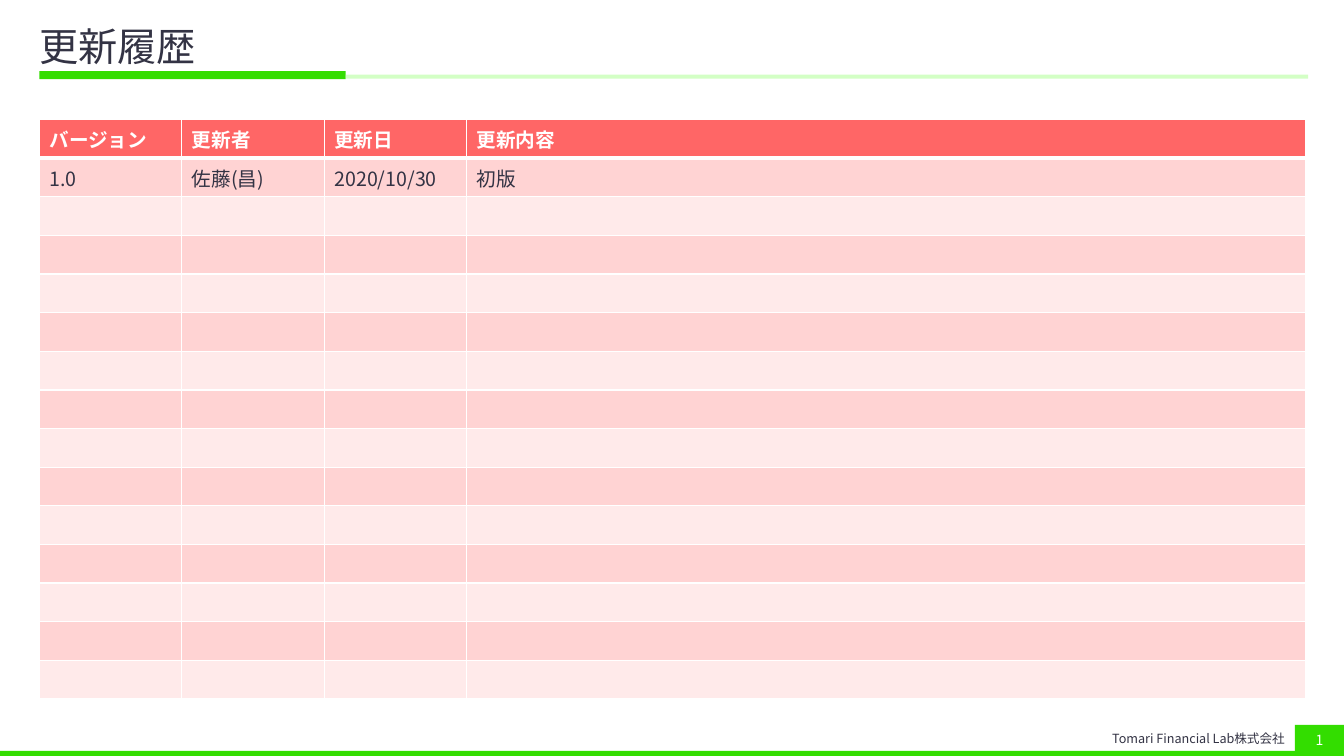
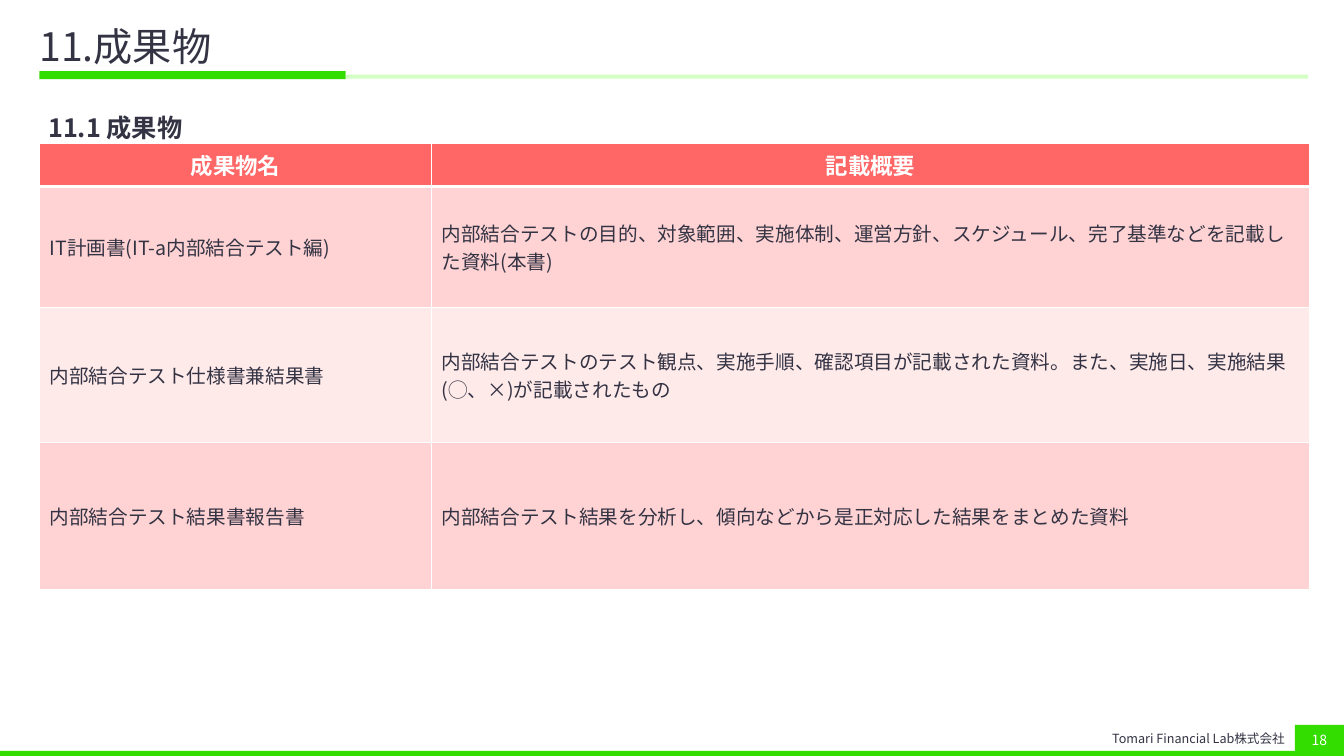
"""Build the revision history and deliverables slides of a test plan."""
import dataclasses
import typing

import lxml.etree
import pptx
import pptx.dml.color
import pptx.enum.lang
import pptx.enum.shapes
import pptx.enum.text
import pptx.oxml.ns
import pptx.presentation
import pptx.slide
import pptx.util

WIDTH = pptx.util.Inches(13.33)
HEIGHT = pptx.util.Inches(7.5)
FONT = "Noto Sans CJK JP"
GREEN, PALE_GREEN = "33DD00", "D3FFC5"
RED, PINK, PALE_PINK = "FF6666", "FFD3D3", "FFEAEA"
INK, WHITE = "333344", "FFFFFF"
COMPANY = "Tomari Financial Lab株式会社"
LEFT = 2.93

Align = pptx.enum.text.PP_ALIGN
MIDDLE = pptx.enum.text.MSO_ANCHOR.MIDDLE
qn = pptx.oxml.ns.qn


@dataclasses.dataclass(frozen=True)
class Area:
    """A rectangle in percent of the slide's width and height."""

    left: float
    top: float
    width: float
    height: float


@dataclasses.dataclass(frozen=True)
class TextStyle:
    """Character and paragraph formats of one kind of text."""

    size: float
    color: str = INK
    bold: bool = False
    paragraph: dict[str, typing.Any] = dataclasses.field(default_factory=dict)


@dataclasses.dataclass(frozen=True)
class Band:
    """A plain coloured bar that every slide shares."""

    area: Area
    color: str


@dataclasses.dataclass(frozen=True)
class TableSpec:
    """Place, grid and wording of a table, in percent of the slide."""

    left: float
    top: float
    columns: list[float]
    rows: list[float]
    texts: list[list[str]]
    header: TextStyle


BANDS = [
    Band(Area(LEFT, 9.4, 22.8, 1.07), GREEN),
    Band(Area(25.73, 9.87, 71.6, 0.53), PALE_GREEN),
    Band(Area(0, 99.33, 100, 0.67), GREEN),
]
TITLE_AREA = Area(LEFT, 2.67, 94.45, 7.47)
COMPANY_AREA = Area(81.4, 95.9, 14.93, 3.6)
NUMBER_AREA = Area(96.35, 95.87, 3.65, 4.13)
HEADING_AREA = Area(2.85, 13.05, 94.52, 6)

TITLE = TextStyle(28, paragraph={"alignment": Align.LEFT, "line_spacing": 0.9})
HEADING = TextStyle(18, bold=True, paragraph={
    "line_spacing": pptx.util.Pt(28), "space_before": pptx.util.Pt(10)})
FOOTER = TextStyle(9, paragraph={"alignment": Align.RIGHT})
NUMBER = TextStyle(10, WHITE, paragraph={"alignment": Align.CENTER})
CELL = TextStyle(14)

HISTORY = TableSpec(
    LEFT, 15.82, [10.6] * 3 + [62.43], [5.11] * 15,
    [["バージョン", "更新者", "更新日", "更新内容"],
     ["1.0", "佐藤(昌)", "2020/10/30", "初版"]],
    TextStyle(14, WHITE, True))
DELIVERABLES = TableSpec(
    LEFT, 19, [29.18, 65.34], [5.67, 16, 17.87, 19.47],
    [["成果物名", "記載概要"],
     ["IT計画書(IT-a内部結合テスト編)",
      "内部結合テストの目的、対象範囲、実施体制、運営方針、スケジュール、"
      "完了基準などを記載した資料(本書)"],
     ["内部結合テスト仕様書兼結果書",
      "内部結合テストのテスト観点、実施手順、確認項目が記載された資料。"
      "また、実施日、実施結果(◯、×)が記載されたもの"],
     ["内部結合テスト結果書報告書",
      "内部結合テスト結果を分析し、傾向などから是正対応した結果をまとめた資料"]],
    TextStyle(16, WHITE, True, {"alignment": Align.CENTER}))


def across(share: float) -> int:
    """Turn a percentage of the slide's width into a length."""
    return int(WIDTH * share / 100)


def down(share: float) -> int:
    """Turn a percentage of the slide's height into a length."""
    return int(HEIGHT * share / 100)


def place(area: Area) -> dict[str, int]:
    """Give an area as position and size values."""
    return {"left": across(area.left), "top": down(area.top),
            "width": across(area.width), "height": down(area.height)}


def rgb(color: str) -> pptx.dml.color.RGBColor:
    """Turn a hex string into a colour."""
    return pptx.dml.color.RGBColor.from_string(color)


def assign(target: typing.Any, values: dict[str, typing.Any]) -> None:
    """Set every named value on the target."""
    for name, value in values.items():
        setattr(target, name, value)


def paint(target: typing.Any, color: str) -> None:
    """Fill a shape or a cell with one colour."""
    target.fill.solid()
    target.fill.fore_color.rgb = rgb(color)


def write(frame: typing.Any, text: str, style: TextStyle) -> None:
    """Write one styled paragraph into a text frame."""
    para = frame.paragraphs[0]
    assign(para, style.paragraph)
    if not text:
        lxml.etree.SubElement(para._p, qn("a:endParaRPr"), sz=str(round(style.size * 100)))
        return
    span = para.add_run()
    span.text = text
    assign(span.font, {
        "size": pptx.util.Pt(style.size), "bold": style.bold, "name": FONT,
        "language_id": pptx.enum.lang.MSO_LANGUAGE_ID.JAPANESE})
    span.font.color.rgb = rgb(style.color)
    lxml.etree.SubElement(span.font._element, qn("a:ea"), typeface=FONT)


def add_bar(page: pptx.slide.Slide, area: Area, color: str) -> typing.Any:
    """Draw a flat rectangle without outline."""
    box = page.shapes.add_shape(
        pptx.enum.shapes.MSO_SHAPE.RECTANGLE, **place(area))
    paint(box, color)
    box.line.fill.background()
    box.shadow.inherit = False
    return box


def add_text(page: pptx.slide.Slide, area: Area, text: str,
             style: TextStyle, **formats: typing.Any) -> None:
    """Draw a wrapping text box."""
    box = page.shapes.add_textbox(**place(area))
    assign(box.text_frame, {"word_wrap": True, **formats})
    write(box.text_frame, text, style)


def set_borders(cell: typing.Any, row: int) -> None:
    """Draw white cell borders, thicker below the header row."""
    widths = {"L": 1, "R": 1, "T": 3 if row == 1 else 1, "B": 3 if row == 0 else 1}
    for side, width in widths.items():
        line = lxml.etree.SubElement(
            cell._tc.get_or_add_tcPr(), qn(f"a:ln{side}"), w=str(pptx.util.Pt(width)))
        fill = lxml.etree.SubElement(line, qn("a:solidFill"))
        lxml.etree.SubElement(fill, qn("a:srgbClr"), val=WHITE)


def add_table(page: pptx.slide.Slide, table: TableSpec) -> None:
    """Draw a table with a red header and alternating pink rows."""
    area = Area(table.left, table.top, sum(table.columns), sum(table.rows))
    grid = page.shapes.add_table(
        len(table.rows), len(table.columns), **place(area)).table
    for column, share in zip(grid.columns, table.columns):
        column.width = across(share)
    for index, share in enumerate(table.rows):
        grid.rows[index].height = down(share)
        texts = table.texts[index] if index < len(table.texts) else [""] * len(table.columns)
        color = RED if index == 0 else PINK if index % 2 else PALE_PINK
        for cell, text in zip(grid.rows[index].cells, texts):
            set_borders(cell, index)
            paint(cell, color)
            cell.vertical_anchor = MIDDLE
            write(cell.text_frame, text, table.header if index == 0 else CELL)


def add_page(deck: pptx.presentation.Presentation, title: str,
             number: int) -> pptx.slide.Slide:
    """Add a slide with its bands, title, company line and page number."""
    page = deck.slides.add_slide(deck.slide_layouts.get_by_name("Title Only"))
    for band in BANDS:
        add_bar(page, band.area, band.color)
    heading = page.shapes.title
    assign(heading, place(TITLE_AREA))
    assign(heading.text_frame, {
        "margin_left": 0, "margin_right": pptx.util.Inches(0.16),
        "vertical_anchor": MIDDLE, "word_wrap": True,
        "auto_size": pptx.enum.text.MSO_AUTO_SIZE.NONE})
    write(heading.text_frame, title, TITLE)
    add_text(page, COMPANY_AREA, COMPANY, FOOTER, vertical_anchor=MIDDLE)
    badge = add_bar(page, NUMBER_AREA, GREEN)
    badge.text_frame.vertical_anchor = MIDDLE
    write(badge.text_frame, str(number), NUMBER)
    return page


def main() -> None:
    """Build and save the deck."""
    deck = pptx.Presentation()
    assign(deck, {"slide_width": WIDTH, "slide_height": HEIGHT})
    history = add_page(deck, "更新履歴", 1)
    add_table(history, HISTORY)
    deliverables = add_page(deck, "11.成果物", 18)
    add_table(deliverables, DELIVERABLES)
    add_text(deliverables, HEADING_AREA, "11.1 成果物", HEADING)
    deck.save("out.pptx")


if __name__ == "__main__":
    main()
